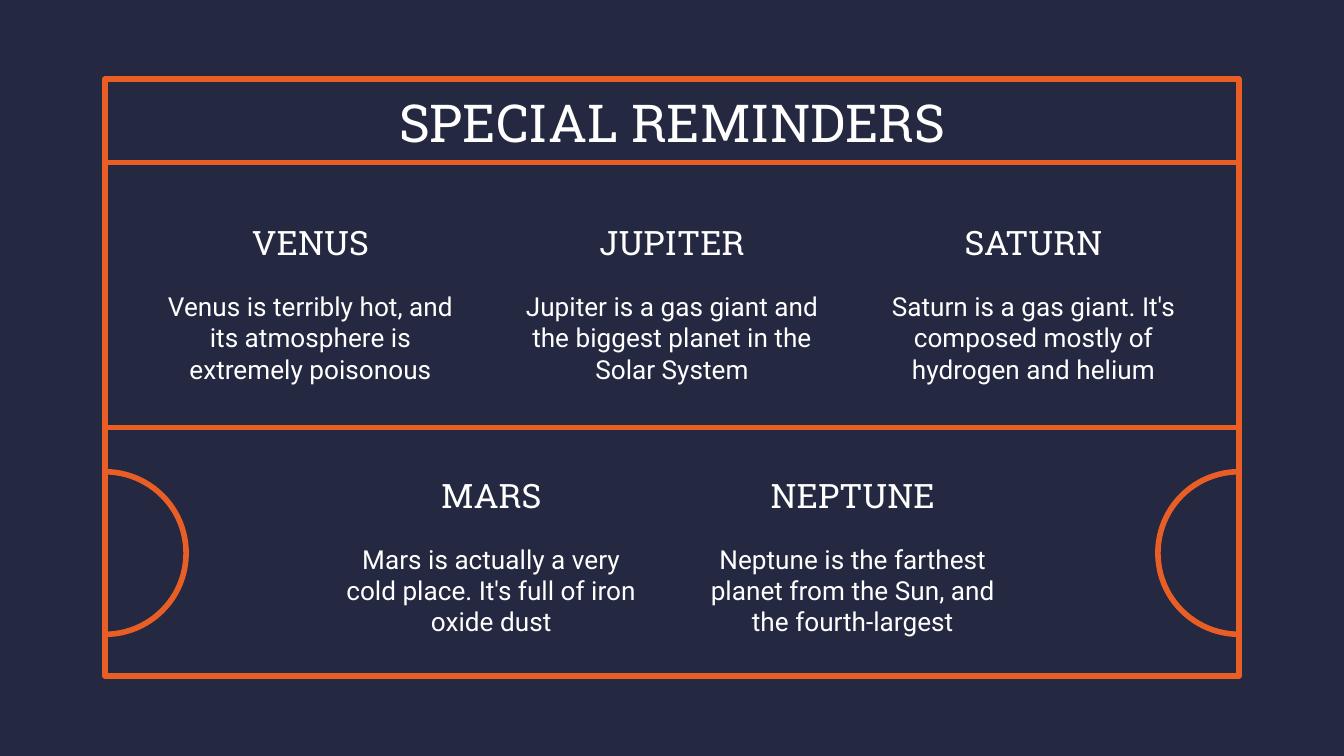
from pptx import Presentation
from pptx.dml.color import RGBColor
from pptx.enum.shapes import MSO_CONNECTOR, MSO_SHAPE
from pptx.enum.text import MSO_ANCHOR, PP_ALIGN
from pptx.oxml.ns import qn
from pptx.util import Inches, Pt
from lxml.etree import SubElement

COLORS = {"court": "242841", "line": "E95E24", "text": "FFFFFF"}
HEADING_FONT, BODY_FONT = "Roboto Slab", "Roboto"

UPPER_PLANETS = [
    ("VENUS", "Venus is terribly hot, and its atmosphere is extremely poisonous"),
    ("JUPITER", "Jupiter is a gas giant and the biggest planet in the Solar System"),
    ("SATURN", "Saturn is a gas giant. It's composed mostly of hydrogen and helium"),
]
LOWER_PLANETS = [
    ("MARS", "Mars is actually a very cold place. It's full of iron oxide dust"),
    ("NEPTUNE", "Neptune is the farthest planet from the Sun, and the fourth-largest"),
]


def color(name):
    return RGBColor.from_string(COLORS[name])


def add_outline(slide, preset, left, top, width, height):
    outline = slide.shapes.add_shape(
        preset, Inches(left), Inches(top), Inches(width), Inches(height))
    outline.shadow.inherit = False
    outline.fill.background()
    outline.line.color.rgb = color("line")
    outline.line.width = Pt(3)
    return outline


def add_divider(slide, left, right, y):
    divider = slide.shapes.add_connector(
        MSO_CONNECTOR.STRAIGHT, Inches(left), Inches(y), Inches(right), Inches(y))
    divider.line.color.rgb = color("line")
    divider.line.width = Pt(3)
    SubElement(divider._element.spPr, qn("a:effectLst"))


def add_text(slide, box, words, font, size, space_after=0):
    left, top, width, height = box
    frame = slide.shapes.add_textbox(
        Inches(left), Inches(top), Inches(width), Inches(height)).text_frame
    frame.word_wrap = True
    frame.vertical_anchor = MSO_ANCHOR.MIDDLE
    frame.margin_left = frame.margin_right = Inches(0.1)
    frame.margin_top = frame.margin_bottom = Inches(0.1)
    paragraph = frame.paragraphs[0]
    paragraph.alignment = PP_ALIGN.CENTER
    paragraph.space_after = Pt(space_after)
    run = paragraph.add_run()
    run.text = words
    run.font.name = font
    run.font.size = Pt(size)
    run.font.color.rgb = color("text")


def add_court(slide, box):
    left, top, width, height = box
    add_outline(slide, MSO_SHAPE.RECTANGLE, left, top, width, height)
    for y in (top + 0.62, top + 2.59):
        add_divider(slide, left, left + width, y)
    diameter = 1.21
    for goal_x, rotation in ((left, 270), (left + width, 90)):
        goal = add_outline(slide, MSO_SHAPE.PIE, goal_x - diameter / 2, top + 2.92,
                           diameter, diameter)
        goal.adjustments[0] = 0
        goal.adjustments[1] = 108
        goal.rotation = rotation


def add_planet_row(slide, box, planets):
    left, top, width, height = box
    card_width, gap, name_height, fact_height = 2.52, 0.17, 0.57, 0.86
    pitch = card_width + gap
    start = left + (width - len(planets) * pitch + gap) / 2
    for index, (name, fact) in enumerate(planets):
        x = start + index * pitch
        add_text(slide, (x, top, card_width, name_height), name, HEADING_FONT, 18, 12)
        add_text(slide, (x, top + height - fact_height, card_width, fact_height),
                 fact, BODY_FONT, 14)


def main():
    deck = Presentation()
    deck.slide_width = Inches(10)
    deck.slide_height = deck.slide_width * 9 // 16
    slide = deck.slides.add_slide(deck.slide_layouts[6])
    slide.background.fill.solid()
    slide.background.fill.fore_color.rgb = color("court")

    left, top, width, height = 0.78, 0.59, 8.44, 4.44
    add_court(slide, (left, top, width, height))
    add_text(slide, (left, top, width, 0.63), "SPECIAL REMINDERS", HEADING_FONT, 28)
    add_planet_row(slide, (left, 1.52, width, 1.42), UPPER_PLANETS)
    add_planet_row(slide, (left, 3.4, width, 1.42), LOWER_PLANETS)
    deck.save("out.pptx")


if __name__ == "__main__":
    main()
